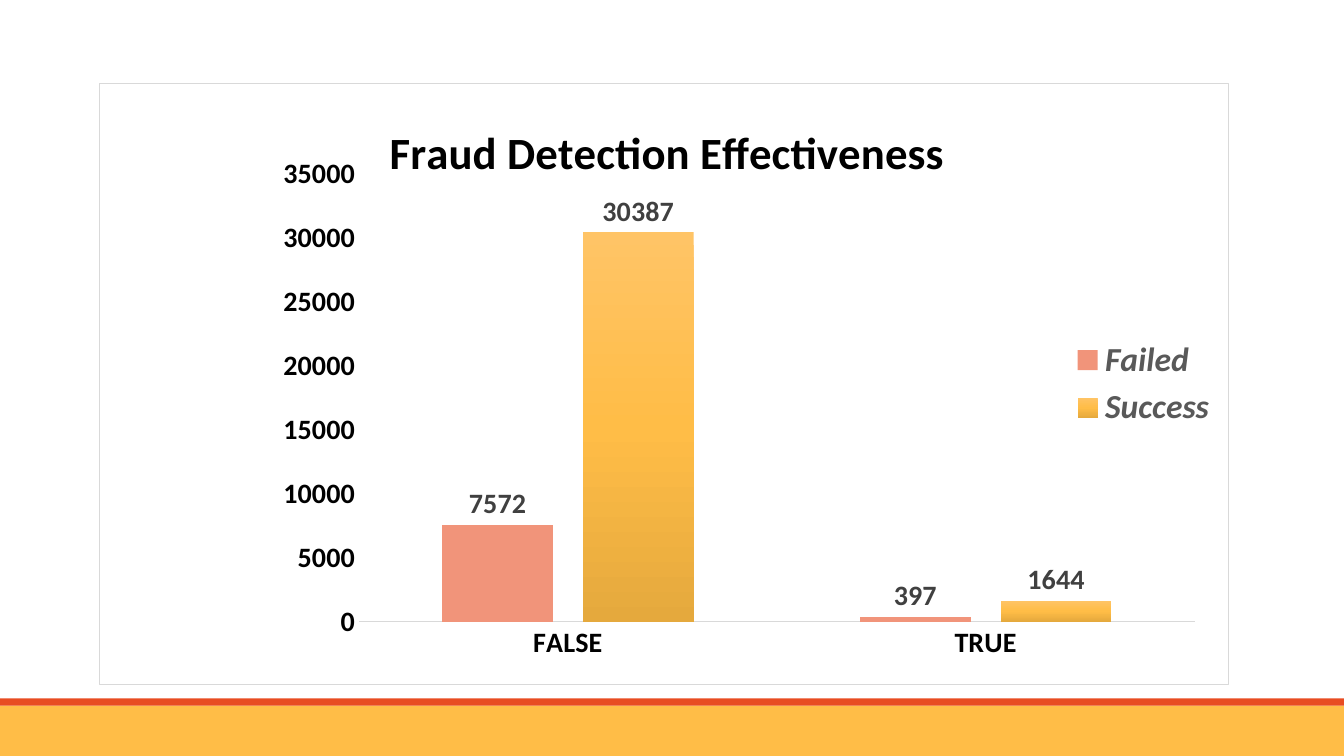
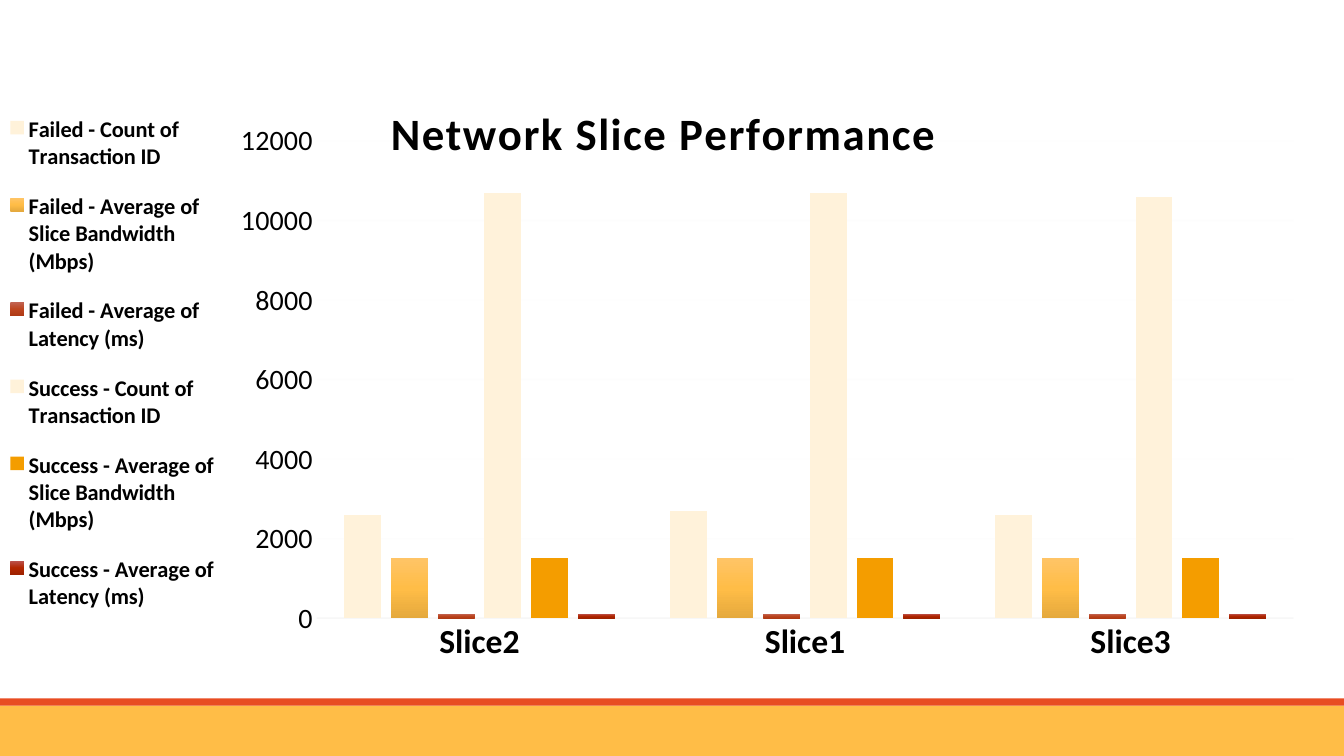
from lxml import etree
from pptx import Presentation
from pptx.chart.data import CategoryChartData
from pptx.dml.color import RGBColor
from pptx.enum import chart as charts, shapes
from pptx.oxml import parse_xml
from pptx.oxml.ns import nsdecls, qn
from pptx.util import Inches, Pt

# Shared look
FONT = "Calibri"
BLACK, DARK_GREY, GREY = "000000", "404040", "595959"
RULE_GREY, PALE_GREY = "D9D9D9", "F2F2F2"
AMBER, ORANGE_RED = "FFBD47", "E84C22"
CREAM, SALMON, ORANGE = "FFF2DA", "F1947A", "F49D00"
AMBER_FADE = ("FFC466", AMBER, "E5A93D")
RUST_FADE = ("C16351", "BD451F", "AF3A15")
RED_FADE = ("BB514B", "B22600", "9E2200")


def color(hex_code):
    return RGBColor.from_string(hex_code)


def set_font(font, size, hex_code=BLACK, bold=False, italic=False):
    font.name, font.size = FONT, Pt(size)
    font.bold, font.italic = bold, italic
    font.color.rgb = color(hex_code)


def add_master_band(deck, page, top, height, hex_code):
    """Draw a full-width band and move it to the slide master."""
    band = page.shapes.add_shape(shapes.MSO_SHAPE.RECTANGLE, 0, Inches(top),
                                 deck.slide_width, Inches(height))
    band.shadow.inherit = False
    band.fill.solid()
    band.fill.fore_color.rgb = color(hex_code)
    band.line.fill.background()
    deck.slide_master.shapes.element.append(band.element)


# Chart parts that need XML
def set_layout(previous, inner=False, **fractions):
    """Place a chart part, with its layout right after the given element."""
    for old in previous.getparent().findall(qn("c:layout")):
        old.getparent().remove(old)
    layout = parse_xml(f"<c:layout {nsdecls('c')}><c:manualLayout/></c:layout>")
    if inner:
        etree.SubElement(layout[0], qn("c:layoutTarget")).set("val", "inner")
    for key in "xy":
        etree.SubElement(layout[0], qn(f"c:{key}Mode")).set("val", "edge")
    for key, value in fractions.items():
        etree.SubElement(layout[0], qn(f"c:{key}")).set("val", str(value))
    previous.addnext(layout)


def set_gradient(series_xml, stops):
    marks = "".join(
        f'<a:gs pos="{place * 50000}"><a:srgbClr val="{stop}"/></a:gs>'
        for place, stop in enumerate(stops))
    series_xml.get_or_add_spPr().append(parse_xml(
        f"<a:gradFill {nsdecls('a')}><a:gsLst>{marks}</a:gsLst>"
        '<a:lin ang="5400000" scaled="0"/></a:gradFill>'))


def set_alpha(chart, line_path, percent):
    for mark in chart.element.xpath(f".//{line_path}//a:srgbClr"):
        etree.SubElement(mark, qn("a:alpha")).set("val", str(percent * 1000))


def set_frame(chart, hex_code=None):
    line = "<a:noFill/>"
    if hex_code:
        line = f'<a:solidFill><a:srgbClr val="{hex_code}"/></a:solidFill>'
    chart.element.find(qn("c:chart")).addnext(parse_xml(
        f"<c:spPr {nsdecls('c', 'a')}><a:noFill/>"
        f'<a:ln w="9525">{line}</a:ln></c:spPr>'))


# Column chart
def add_columns(page, place, categories, rows):
    """Add a column chart; each row holds a name, a fill and the values."""
    data = CategoryChartData()
    data.categories = categories
    for name, _, values in rows:
        data.add_series(name, values)
    chart = page.shapes.add_chart(charts.XL_CHART_TYPE.COLUMN_CLUSTERED,
                                  *map(Inches, place), data).chart
    set_font(chart.font, 10)
    plot = chart.plots[0]
    plot.gap_width, plot.overlap = 150, -27
    plot.vary_by_categories = False
    series_parts = chart.element.xpath(".//c:ser")
    for series, part, (_, fill, _) in zip(plot.series, series_parts, rows):
        series.invert_if_negative = False
        if isinstance(fill, tuple):
            set_gradient(part, fill)
        else:
            series.format.fill.solid()
            series.format.fill.fore_color.rgb = color(fill)
    return chart


def set_title(chart, words, x, y, spacing=0):
    chart.has_title = True
    span = chart.chart_title.text_frame.paragraphs[0].add_run()
    span.text = words
    set_font(span.font, 32, bold=True)
    chart.element.xpath(".//c:title//a:r/a:rPr")[0].set("spc", str(spacing))
    set_layout(chart.element.xpath(".//c:title/c:tx")[0], x=x, y=y)


def set_plot_place(chart, **fractions):
    area = chart.element.xpath(".//c:plotArea")[0]
    for old in area.findall(qn("c:layout")):
        area.remove(old)
    anchor = etree.Element(qn("c:layout"))
    area.insert(0, anchor)
    new_first = etree.Element(qn("c:marker"))
    area.replace(anchor, new_first)
    set_layout(new_first, inner=True, **fractions)
    area.remove(new_first)


def set_axes(chart, category_size, line_color, top, step, bold_values):
    categories, values = chart.category_axis, chart.value_axis
    for axis in (categories, values):
        axis.major_tick_mark = axis.minor_tick_mark = charts.XL_TICK_MARK.NONE
        axis.has_major_gridlines = False
    set_font(categories.tick_labels.font, category_size, bold=True)
    categories.format.line.color.rgb = color(line_color)
    categories.format.line.width = Pt(1)
    set_font(values.tick_labels.font, 20, bold=bold_values)
    values.format.line.fill.background()
    values.minimum_scale, values.maximum_scale = 0, top
    values.major_unit = step


def set_legend(chart, position, size, hex_code=BLACK, italic=False):
    chart.has_legend = True
    chart.legend.position = position
    chart.legend.include_in_layout = False
    set_font(chart.legend.font, size, hex_code, bold=True, italic=italic)


def add_value_labels(chart):
    for series in chart.plots[0].series:
        labels = series.data_labels
        labels.show_value = True
        labels.position = charts.XL_LABEL_POSITION.OUTSIDE_END
        set_font(labels.font, 20, DARK_GREY, bold=True)


# Slides
def fill_fraud_page(page):
    chart = add_columns(page, (0.98, 0.82, 11.21, 5.98), ("FALSE", "TRUE"), (
        ("Failed", SALMON, (7572, 397)),
        ("Success", AMBER_FADE, (30387, 1644))))
    set_title(chart, "Fraud Detection Effectiveness", 0.25, 0.05)
    set_plot_place(chart, x=0.23, y=0.15, w=0.74, h=0.745)
    set_axes(chart, 20, RULE_GREY, 35000, 5000, bold_values=True)
    set_legend(chart, charts.XL_LEGEND_POSITION.RIGHT, 24, GREY, italic=True)
    add_value_labels(chart)
    set_frame(chart, RULE_GREY)


def fill_slice_page(page):
    chart = add_columns(
        page, (0, 0.62, 13.09, 6.23), ("Slice2", "Slice1", "Slice3"), (
            ("Failed - Count of Transaction ID", CREAM, (2600, 2700, 2600)),
            ("Failed - Average of Slice Bandwidth (Mbps)", AMBER_FADE,
             (1500, 1500, 1500)),
            ("Failed - Average of Latency (ms)", RUST_FADE, (100, 100, 100)),
            ("Success - Count of Transaction ID", CREAM,
             (10700, 10700, 10600)),
            ("Success - Average of Slice Bandwidth (Mbps)", ORANGE,
             (1500, 1500, 1500)),
            ("Success - Average of Latency (ms)", RED_FADE, (100, 100, 100))))
    set_title(chart, "Network Slice Performance", 0.29, 0.05, spacing=100)
    set_plot_place(chart, x=0.24, y=0.125, w=0.74, h=0.76)
    set_axes(chart, 24, PALE_GREY, 12000, 2000, bold_values=False)
    chart.value_axis.has_major_gridlines = True
    grid = chart.value_axis.major_gridlines.format.line
    grid.color.rgb, grid.width = color(PALE_GREY), Pt(0.75)
    set_alpha(chart, "c:majorGridlines", 10)
    set_alpha(chart, "c:catAx/c:spPr", 54)
    set_legend(chart, charts.XL_LEGEND_POSITION.LEFT, 16)
    set_layout(chart.element.xpath(".//c:legendPos")[0],
               x=0.005, y=0.05, w=0.16, h=0.86)
    set_frame(chart)


def main():
    deck = Presentation()
    deck.slide_width, deck.slide_height = Inches(13.33), Inches(7.5)
    blank = deck.slide_layouts[6]
    fraud_page, slice_page = (deck.slides.add_slide(blank) for _ in range(2))
    add_master_band(deck, fraud_page, 7, 0.5, AMBER)
    add_master_band(deck, fraud_page, 6.93, 0.07, ORANGE_RED)
    fill_fraud_page(fraud_page)
    fill_slice_page(slice_page)
    deck.save("out.pptx")


if __name__ == "__main__":
    main()
